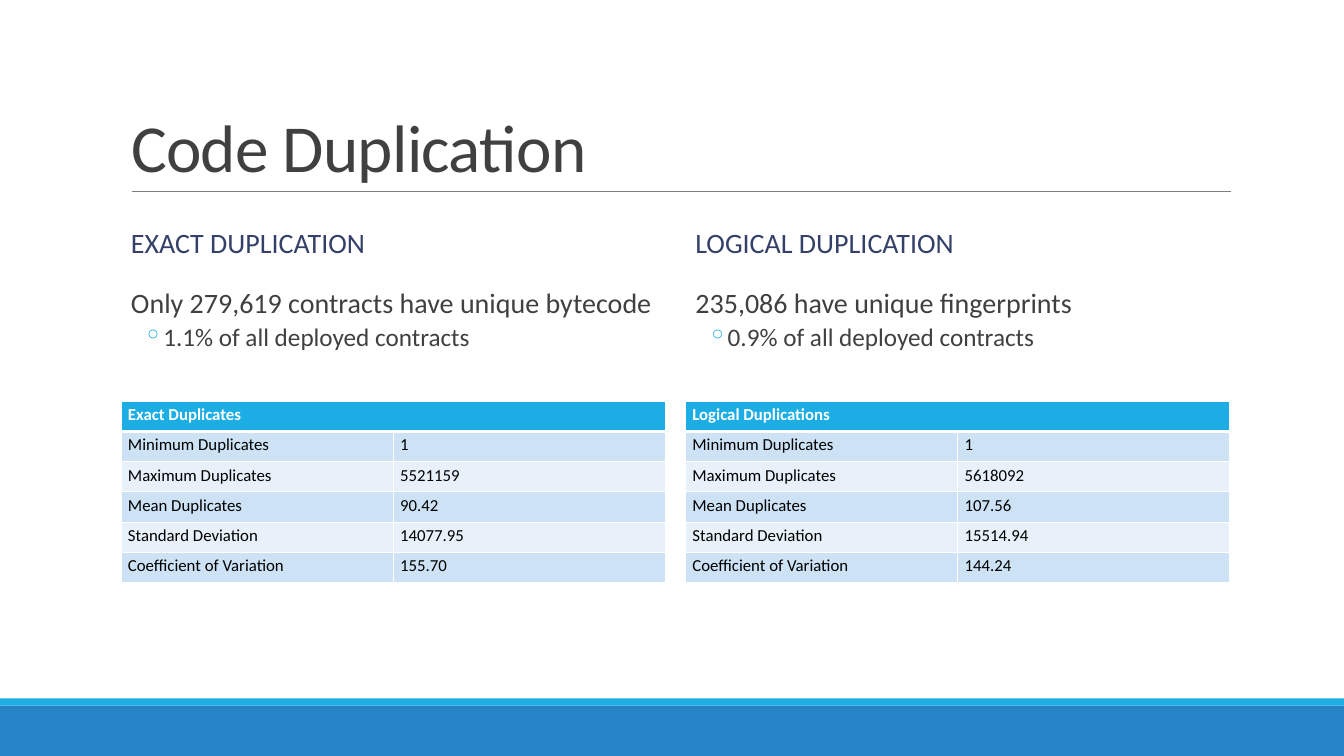
from dataclasses import dataclass

from lxml import etree
from pptx import Presentation
from pptx.dml.color import RGBColor
from pptx.enum.shapes import MSO_CONNECTOR, MSO_SHAPE
from pptx.enum.text import MSO_ANCHOR
from pptx.oxml.ns import qn
from pptx.util import Pt

RECTANGLE = MSO_SHAPE.RECTANGLE
STRAIGHT = MSO_CONNECTOR.STRAIGHT
TOP, MIDDLE, BOTTOM = MSO_ANCHOR.TOP, MSO_ANCHOR.MIDDLE, MSO_ANCHOR.BOTTOM


@dataclass(frozen=True)
class Theme:
    font: str = "Calibri"
    title_size: int = 48
    body_size: int = 20
    detail_size: int = 18
    table_size: int = 12
    text: str = "404040"
    heading: str = "344068"
    accent: str = "1CADE4"
    footer: str = "2683C6"
    rule: str = "808080"
    white: str = "FFFFFF"
    black: str = "000000"
    bands: tuple = ("CDE3F5", "E8F1FA")


THEME = Theme()
SLIDE_WIDTH, SLIDE_HEIGHT = 960, 540
COLUMN_WIDTH = 388.8
COLUMN_LEFTS = (86.4, 489.6)
HEADING_TOP, BODY_TOP, TABLE_TOP = 145.44, 203.04, 286.56
ROW_HEIGHT = 21.6
MEASURES = ("Minimum Duplicates", "Maximum Duplicates", "Mean Duplicates",
            "Standard Deviation", "Coefficient of Variation")
COLUMNS = (
    ("EXACT DUPLICATION", "Only 279,619 contracts have unique bytecode",
     "1.1% of all deployed contracts", "Exact Duplicates",
     ("1", "5521159", "90.42", "14077.95", "155.70")),
    ("LOGICAL DUPLICATION", "235,086 have unique fingerprints",
     "0.9% of all deployed contracts", "Logical Duplications",
     ("1", "5618092", "107.56", "15514.94", "144.24")),
)


def write(paragraph, text, size, color, bold=False, tracking=None,
          line_spacing=None, before=0, after=0, margin=0, indent=0,
          level=0, bullet=None):
    run = paragraph.add_run()
    run.text = text
    run.font.name = THEME.font
    run.font.size = Pt(size)
    run.font.bold = bold
    run.font.color.rgb = RGBColor.from_string(color)
    if tracking is not None:
        run.font._element.set("spc", str(round(tracking * 100)))
    paragraph.level = level
    paragraph.line_spacing = line_spacing
    paragraph.space_before = Pt(before)
    paragraph.space_after = Pt(after)
    properties = paragraph._p.get_or_add_pPr()
    properties.set("marL", str(Pt(margin)))
    properties.set("indent", str(Pt(indent)))
    if bullet:
        bullet_color = etree.SubElement(properties, qn("a:buClr"))
        etree.SubElement(bullet_color, qn("a:srgbClr"), val=THEME.accent)
        etree.SubElement(properties, qn("a:buChar"), char=bullet)


class SlideBuilder:
    def __init__(self, presentation, theme):
        self.theme = theme
        self.slide = presentation.slides.add_slide(presentation.slide_layouts[5])

    def bar(self, top, height, color):
        shape = self.slide.shapes.add_shape(
            RECTANGLE, 0, Pt(top), Pt(SLIDE_WIDTH), Pt(height))
        shape.shadow.inherit = False
        shape.fill.solid()
        shape.fill.fore_color.rgb = RGBColor.from_string(color)
        shape.line.fill.background()

    def rule(self, left, right, top):
        connector = self.slide.shapes.add_connector(
            STRAIGHT, Pt(left), Pt(top), Pt(right), Pt(top))
        connector.line.width = Pt(0.5)
        connector.line.color.rgb = RGBColor.from_string(self.theme.rule)
        etree.SubElement(connector._element.spPr, qn("a:effectLst"))

    def title(self, text, left, top, width, height):
        shape = self.slide.shapes.title
        shape.left, shape.top = Pt(left), Pt(top)
        shape.width, shape.height = Pt(width), Pt(height)
        frame = shape.text_frame
        frame.vertical_anchor = BOTTOM
        frame.word_wrap = True
        paragraph = frame.paragraphs[0]
        write(paragraph, text, self.theme.title_size, self.theme.text,
              tracking=-0.5, line_spacing=0.85)
        paragraph.alignment = 1

    def text_box(self, left, top, height, anchor, side_inset):
        frame = self.slide.shapes.add_textbox(
            Pt(left), Pt(top), Pt(COLUMN_WIDTH), Pt(height)).text_frame
        frame.word_wrap = True
        frame.vertical_anchor = anchor
        frame.margin_left = frame.margin_right = Pt(side_inset)
        return frame

    def heading(self, text, left):
        frame = self.text_box(left, HEADING_TOP, 58.32, MIDDLE, 7.2)
        write(frame.paragraphs[0], text, self.theme.body_size,
              self.theme.heading, line_spacing=0.9, before=12, after=2)

    def body(self, statement, detail, left):
        frame = self.text_box(left, BODY_TOP, 258.48, TOP, 0)
        write(frame.paragraphs[0], statement, self.theme.body_size,
              self.theme.text, line_spacing=0.9, before=12, after=2, margin=7.2)
        write(frame.add_paragraph(), detail, self.theme.detail_size,
              self.theme.text, line_spacing=0.9, before=2, after=4,
              margin=30.24, indent=-14.4, level=1, bullet="◦")

    def cell(self, cell, text, fill, color, bold=False, bottom_border=1):
        cell.margin_left = cell.margin_right = Pt(5)
        cell.margin_top = cell.margin_bottom = Pt(2.5)
        properties = cell._tc.get_or_add_tcPr()
        for side, width in (("L", 1), ("R", 1), ("T", 1), ("B", bottom_border)):
            border = etree.SubElement(
                properties, qn(f"a:ln{side}"), w=str(Pt(width)))
            border_fill = etree.SubElement(border, qn("a:solidFill"))
            etree.SubElement(border_fill, qn("a:srgbClr"), val=self.theme.white)
        cell.fill.solid()
        cell.fill.fore_color.rgb = RGBColor.from_string(fill)
        if text:
            write(cell.text_frame.paragraphs[0], text, self.theme.table_size,
                  color, bold=bold)

    def table(self, caption, values, left):
        row_count = len(values) + 1
        table = self.slide.shapes.add_table(
            row_count, 2, Pt(left), Pt(TABLE_TOP), Pt(COLUMN_WIDTH),
            Pt(ROW_HEIGHT * row_count)).table
        table.horz_banding = False
        for row in table.rows:
            row.height = Pt(ROW_HEIGHT)
        table.cell(0, 0).merge(table.cell(0, 1))
        for column, text in enumerate((caption, "")):
            self.cell(table.cell(0, column), text, self.theme.accent,
                      self.theme.white, bold=True, bottom_border=3)
        for row, entries in enumerate(zip(MEASURES, values), start=1):
            for column, text in enumerate(entries):
                self.cell(table.cell(row, column), text,
                          self.theme.bands[(row - 1) % 2], self.theme.black)


def main():
    presentation = Presentation()
    presentation.slide_width = Pt(SLIDE_WIDTH)
    presentation.slide_height = Pt(SLIDE_HEIGHT)
    builder = SlideBuilder(presentation, THEME)
    builder.bar(504, 36, THEME.footer)
    builder.bar(498.8, 5.2, THEME.accent)
    builder.rule(94.3, 879, 136.8)
    builder.title("Code Duplication", 86.4, 22.4, 792, 114.4)
    for left, (heading, statement, detail, caption, values) in zip(
            COLUMN_LEFTS, COLUMNS):
        builder.heading(heading, left)
        builder.body(statement, detail, left)
        builder.table(caption, values, left)
    presentation.save("out.pptx")


if __name__ == "__main__":
    main()
